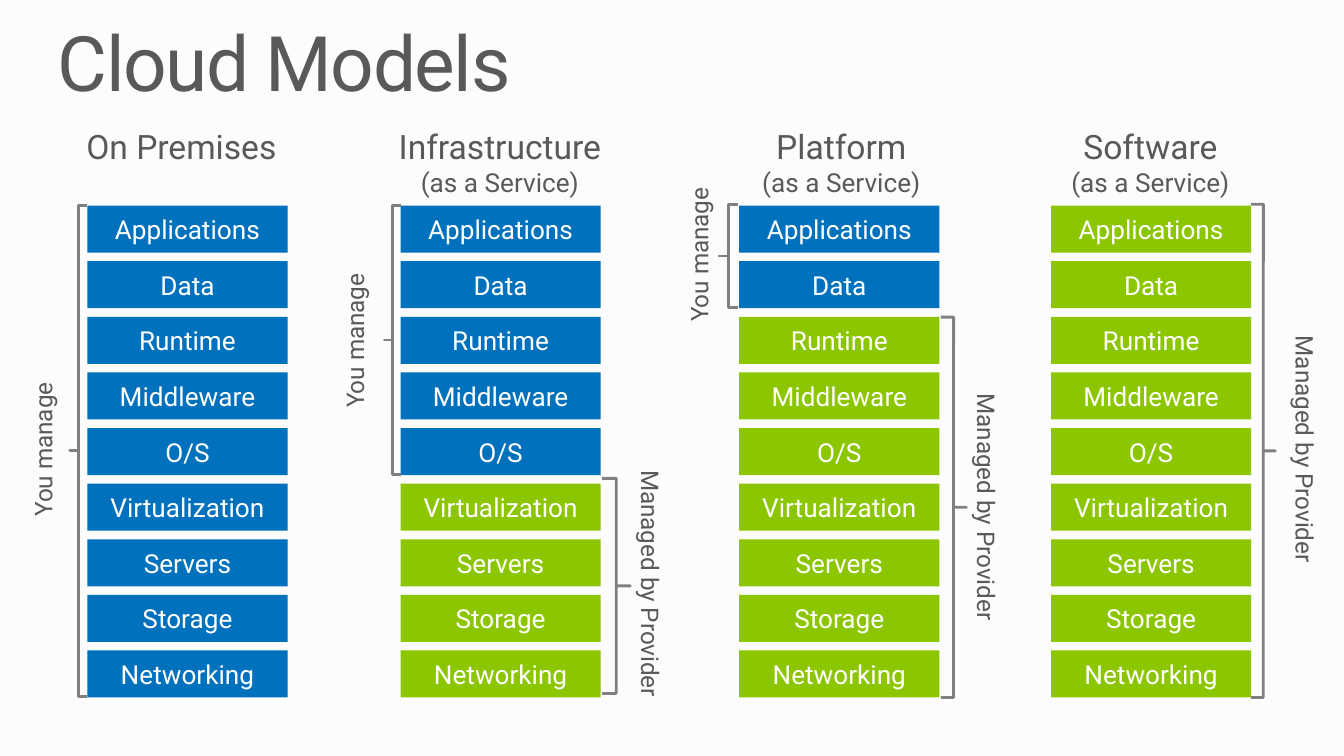
from pptx import Presentation
from pptx import util as u
from pptx.dml.color import RGBColor
from pptx.enum import shapes, text

BLUE, GREEN, GRAY, DARK, WHITE = "0071BC", "8CC600", "808080", "595959", "FFFFFF"
LAYERS = ["Applications", "Data", "Runtime", "Middleware", "O/S",
          "Virtualization", "Servers", "Storage", "Networking"]
TOP, STEP = 1.53, 3.31 / 8
SUB = "(as a Service)"
YOU, HOST = "You manage", "Managed by Provider"

# heading lines, heading left and width, stack left, count of blue layers,
# braces: label, brace box, label left and top
MODELS = [
    (["On Premises"], 0.5, 1.7, 0.65, 9,
     [(YOU, (0.52, 1.53, 0.13, 3.65), 0.16, 2.8)]),
    (["Infrastructure", SUB], 2.54, 2.36, 2.98, 5,
     [(YOU, (2.86, 1.53, 0.12, 2), 2.48, 1.99),
      (HOST, (4.48, 3.56, 0.21, 1.6), 4.58, 3.4)]),
    (["Platform", SUB], 5.35, 1.82, 5.5, 2,
     [(YOU, (5.35, 1.52, 0.14, 0.77), 5.04, 1.35),
      (HOST, (7, 2.36, 0.19, 2.83), 7.08, 2.83)]),
    (["Software", SUB], 7.64, 1.84, 7.82, 0,
     [(HOST, (9.31, 1.52, 0.18, 3.67), 9.45, 2.4)]),
]
SIDES = {
    YOU: (shapes.MSO_SHAPE.LEFT_BRACE, "vert270", 1.09),
    HOST: (shapes.MSO_SHAPE.RIGHT_BRACE, "eaVert", 1.92),
}


def hue(code):
    return RGBColor.from_string(code)


def write(shape, lines, sizes, color, align=text.PP_ALIGN.CENTER, **form):
    """Fill a shape with one paragraph per line; form sets the text frame."""
    frame = shape.text_frame
    base = {"word_wrap": True, "margin_left": 0, "margin_right": 0,
            "vertical_anchor": text.MSO_ANCHOR.TOP}
    for key, val in (base | form).items():
        setattr(frame, key, val)
    frame.text = "\n".join(lines)
    for para, size in zip(frame.paragraphs, sizes):
        para.alignment = align
        font = para.runs[0].font
        for key, val in {"name": "Roboto", "size": u.Pt(size)}.items():
            setattr(font, key, val)
        font.color.rgb = hue(color)
    return frame


deck = Presentation()
deck.slide_width = u.Inches(10)
deck.slide_height = deck.slide_width * 9 // 16
slide = deck.slides.add_slide(deck.slide_layouts[6])
slide.background.fill.solid()
slide.background.fill.fore_color.rgb = hue("FCFCFC")

title = slide.shapes.add_textbox(*map(u.Inches, (0.43, 0.19, 9.15, 0.62)))
frame = write(title, ["Cloud Models"], [41], DARK, text.PP_ALIGN.LEFT,
              margin_top=0, margin_bottom=0)
para = frame.paragraphs[0]
para.line_spacing = 0.9
para.runs[0].font._element.set("spc", "-80")

for head, left, wide, x, own, braces in MODELS:
    group = slide.shapes.add_group_shape().shapes
    box = group.add_textbox(*map(u.Inches, (left, 0.94, wide, 0.58)))
    write(box, head, [18, 14], DARK, margin_top=0, margin_bottom=0)

    for row, layer in enumerate(LAYERS):
        place = map(u.Inches, (x, TOP + row * STEP, 1.49, 0.35))
        tile = group.add_shape(shapes.MSO_SHAPE.RECTANGLE, *place)
        tile.shadow.inherit = False
        tile.fill.solid()
        tile.fill.fore_color.rgb = hue(BLUE if row < own else GREEN)
        tile.line.fill.background()
        write(tile, [layer], [14], WHITE,
              vertical_anchor=text.MSO_ANCHOR.MIDDLE)

    for label, place, lx, ly in braces:
        kind, turn, length = SIDES[label]
        brace = group.add_shape(kind, *map(u.Inches, place))
        brace.shadow.inherit = False
        brace.adjustments[0], brace.adjustments[1] = 0, 0.5
        brace.fill.background()
        brace.line.color.rgb = hue(GRAY)
        brace.line.width = u.Pt(1.5)

        note = group.add_textbox(*map(u.Inches, (lx, ly, 0.42, length)))
        frame = write(note, [label], [13], DARK, word_wrap=False,
                      margin_left=u.Inches(0.1), margin_right=u.Inches(0.1))
        frame._txBody.bodyPr.set("vert", turn)

deck.save("out.pptx")
